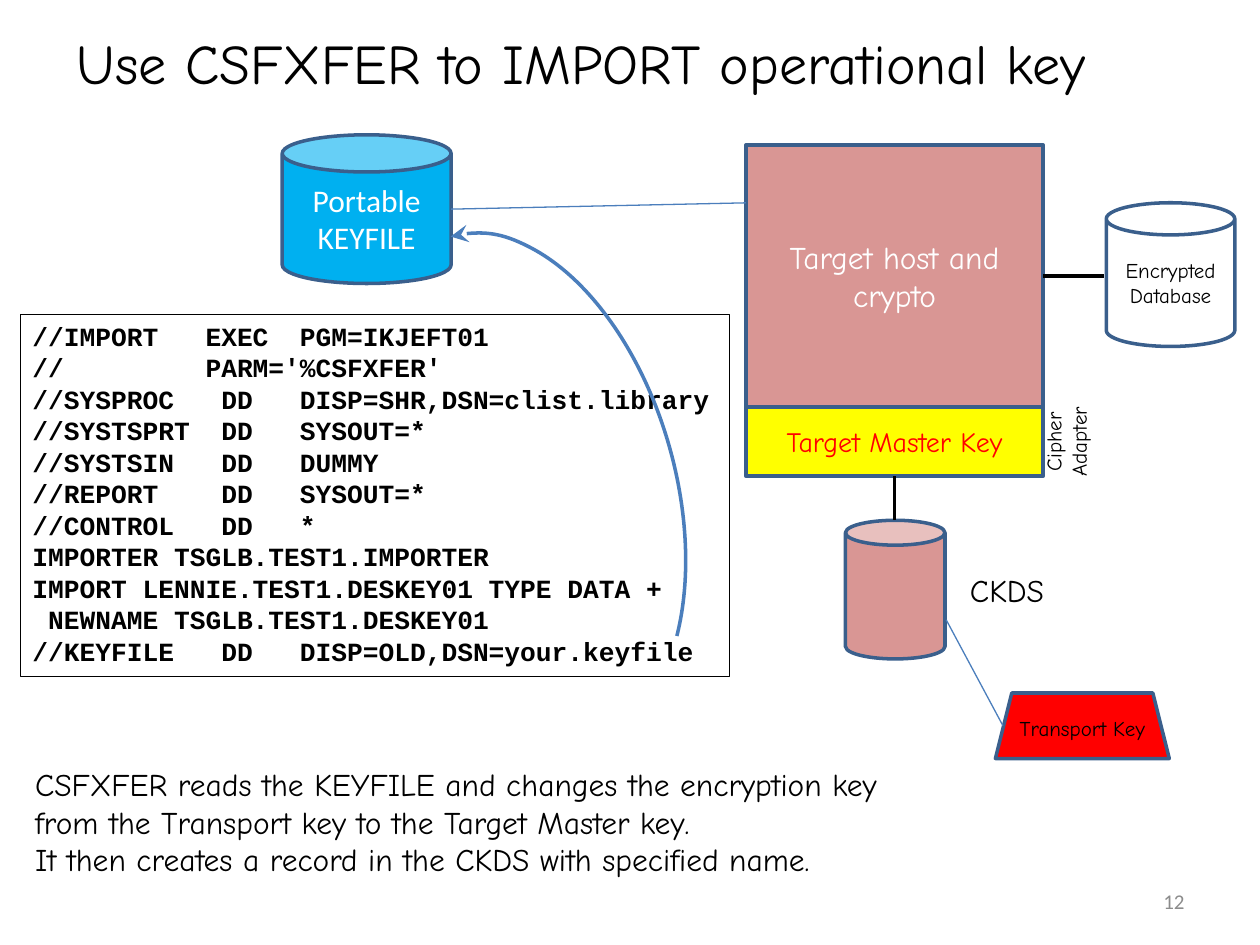
from lxml.etree import SubElement
from pptx import Presentation
from pptx.dml.color import RGBColor
from pptx.enum.shapes import MSO_CONNECTOR, MSO_SHAPE
from pptx.enum.text import MSO_ANCHOR, MSO_AUTO_SIZE, PP_ALIGN
from pptx.oxml.ns import qn
from pptx.util import Inches, Pt

BLACK = RGBColor(0x00, 0x00, 0x00)
WHITE = RGBColor(0xFF, 0xFF, 0xFF)
RED = RGBColor(0xFF, 0x00, 0x00)
YELLOW = RGBColor(0xFF, 0xFF, 0x00)
ROSE = RGBColor(0xD9, 0x96, 0x94)
SKY = RGBColor(0x00, 0xB0, 0xF0)
OUTLINE = RGBColor(0x3A, 0x5F, 0x8C)
LINK = RGBColor(0x4B, 0x7E, 0xBC)
GRAY = RGBColor(0x8C, 0x8C, 0x8C)

COLUMNS, ROWS = 100, 75
HAND, SANS, MONO = "Comic Neue", "Calibri", "Courier New"

JOB = """//IMPORT   EXEC  PGM=IKJEFT01
//         PARM='%CSFXFER'
//SYSPROC   DD   DISP=SHR,DSN=clist.library
//SYSTSPRT  DD   SYSOUT=*
//SYSTSIN   DD   DUMMY
//REPORT    DD   SYSOUT=*
//CONTROL   DD   *
IMPORTER TSGLB.TEST1.IMPORTER
IMPORT LENNIE.TEST1.DESKEY01 TYPE DATA +
 NEWNAME TSGLB.TEST1.DESKEY01
//KEYFILE   DD   DISP=OLD,DSN=your.keyfile"""

SUMMARY = """CSFXFER reads the KEYFILE and changes the encryption key from the Transport key to the Target Master key.
It then creates a record in the CKDS with specified name."""


def grid(*cells):
    """Turn counts of grid cells, a tenth of an inch each, into lengths."""
    return [Inches(cell / 10) for cell in cells]


def write(box, lines, size, color=BLACK, font=HAND, align=PP_ALIGN.LEFT, bold=False):
    """Fill a box with text in one style."""
    box.text_frame.text = lines
    for para in box.text_frame.paragraphs:
        para.alignment = align
        for span in para.runs:
            span.font.name = font
            span.font.size = Pt(size)
            span.font.bold = bold
            span.font.color.rgb = color


def add_node(page, kind, area, fill, text="", size=18, color=BLACK, font=HAND):
    """Add an outlined shape with a centred label."""
    node = page.shapes.add_shape(kind, *grid(*area))
    node.shadow.inherit = False
    node.fill.solid()
    node.fill.fore_color.rgb = fill
    node.line.color.rgb = OUTLINE
    node.line.width = Pt(2)
    node.text_frame.vertical_anchor = MSO_ANCHOR.MIDDLE
    write(node, text, size, color, font, PP_ALIGN.CENTER)
    return node


def add_note(page, area, text, size, wrap=True, grow=True, **style):
    """Add a text box."""
    note = page.shapes.add_textbox(*grid(*area))
    note.text_frame.word_wrap = wrap
    note.text_frame.auto_size = MSO_AUTO_SIZE.SHAPE_TO_FIT_TEXT if grow else MSO_AUTO_SIZE.NONE
    write(note, text, size, **style)
    return note


def add_link(page, start, end, color=LINK, width=0.75):
    """Add a straight line between two grid points."""
    link = page.shapes.add_connector(MSO_CONNECTOR.STRAIGHT, *grid(*start, *end))
    link.line.color.rgb = color
    link.line.width = Pt(width)
    SubElement(link._element.spPr, qn("a:effectLst"))
    return link


def add_curved_arrow(page, area, rotation, angles):
    """Add a rotated arc with an arrowhead at its start."""
    arc = page.shapes.add_shape(MSO_SHAPE.ARC, *grid(*area))
    arc.shadow.inherit = False
    arc.rotation = rotation
    arc.adjustments[0], arc.adjustments[1] = angles
    arc.fill.background()
    arc.line.color.rgb = LINK
    arc.line.width = Pt(2)
    SubElement(arc.line._get_or_add_ln(), qn("a:headEnd"), type="stealth", w="lg", len="lg")


def add_target_system(page):
    """Add the target system with its key store, database and transport key."""
    system = add_node(page, MSO_SHAPE.RECTANGLE, (59.2, 11.5, 23.6, 20.8), ROSE,
                      "Target host and crypto", color=WHITE)
    master = add_node(page, MSO_SHAPE.RECTANGLE, (59.2, 32.3, 23.6, 5.5), YELLOW,
                      "Target Master Key", 16, RED)
    adapter = add_note(page, (82.1, 30.4, 6.1, 9.3), "Cipher\nAdapter", 12,
                       align=PP_ALIGN.CENTER)
    adapter.text_frame._txBody.bodyPr.set("vert", "vert270")
    add_node(page, MSO_SHAPE.CAN, (67.1, 41.3, 7.9, 11), ROSE)
    add_note(page, (76, 44.8, 8.7, 4), "CKDS", 18, wrap=False)
    add_link(page, (71, 37.8), (71, 41.3), BLACK, 2).begin_connect(master, 2)
    add_node(page, MSO_SHAPE.CAN, (87.8, 16.1, 10.2, 11.4), WHITE, "Encrypted Database", 12)
    add_link(page, (87.6, 21.9), (82.8, 21.9), BLACK, 2).end_connect(system, 3)
    add_node(page, MSO_SHAPE.TRAPEZOID, (79, 55, 13.8, 5.2), RED, "Transport Key", 12)
    add_link(page, (75.1, 49.2), (79.6, 57.6))


def add_import_job(page):
    """Add the job listing and the key file it reads."""
    job = add_note(page, (1.6, 24.9, 56.3, 28.8), JOB, 15, wrap=False, font=MONO, bold=True)
    job.line.color.rgb = BLACK
    job.line.width = Pt(0.25)
    add_node(page, MSO_SHAPE.CAN, (22.4, 10.7, 13.4, 11.8), SKY, "Portable\nKEYFILE",
             color=WHITE, font=SANS)
    add_link(page, (35.8, 16.6), (59.2, 16.1))
    add_curved_arrow(page, (29.2, 18, 24.4, 41.6), 344.3, (162, 35.49))


def main():
    """Build and save the slide."""
    deck = Presentation()
    deck.slide_width, deck.slide_height = grid(COLUMNS, ROWS)
    page = deck.slides.add_slide(deck.slide_layouts[6])
    add_target_system(page)
    add_note(page, (5.1, 1.8, 90, 6.4), "Use CSFXFER to IMPORT operational key", 32, wrap=False)
    add_import_job(page)
    add_note(page, (1.8, 60.2, 71.3, 10.1), SUMMARY, 18)
    number = add_note(page, (71.7, 69.5, 23.3, 4), "12", 12, grow=False,
                      color=GRAY, font=SANS, align=PP_ALIGN.RIGHT)
    number.text_frame.vertical_anchor = MSO_ANCHOR.MIDDLE
    deck.save("out.pptx")


if __name__ == "__main__":
    main()
